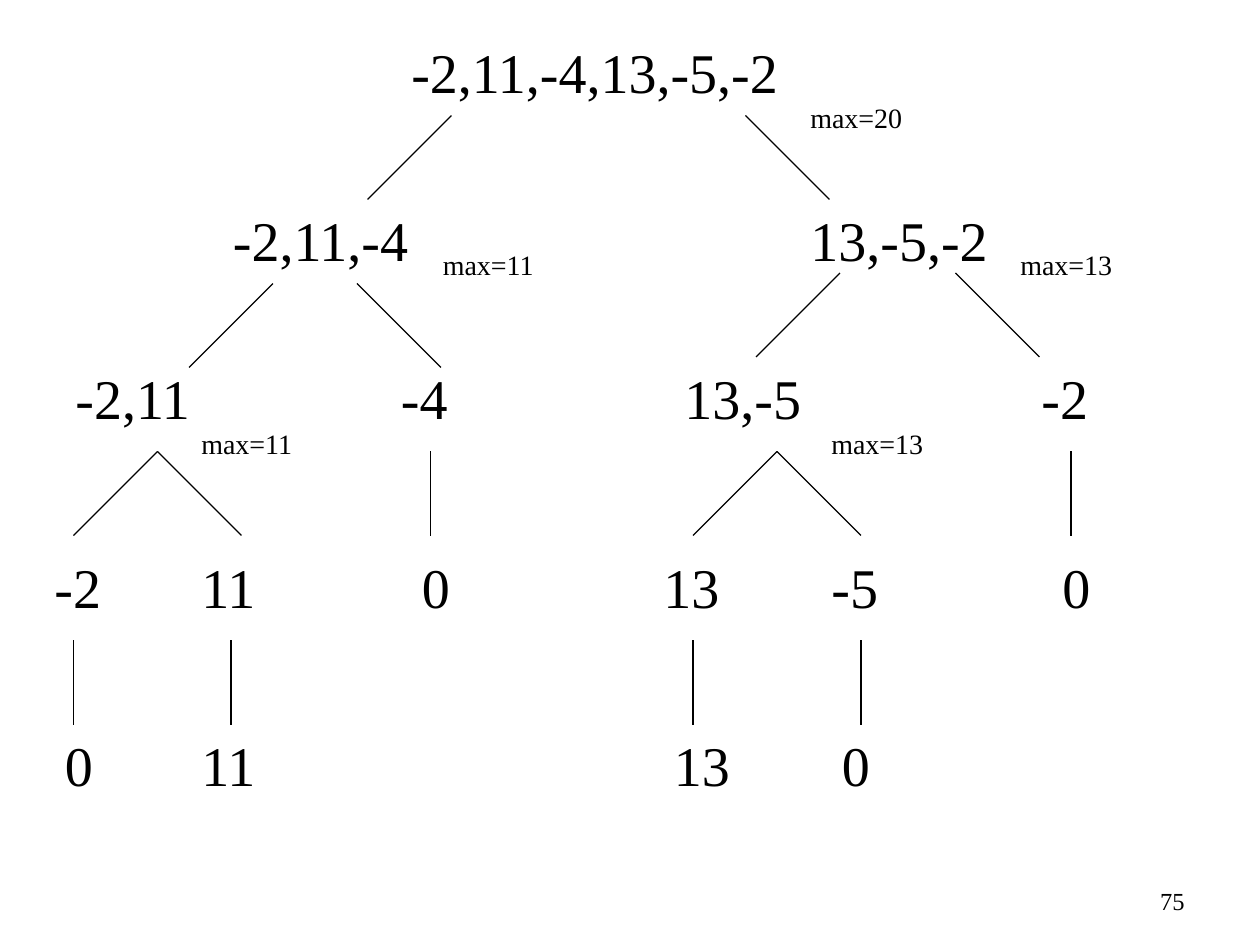
"""Draw the recursion tree of a divide-and-conquer maximum subsequence sum."""
from math import ceil

from pptx import Presentation
from pptx.dml.color import RGBColor
from pptx.enum.shapes import MSO_CONNECTOR
from pptx.enum.text import MSO_ANCHOR, MSO_AUTO_SIZE, PP_ALIGN
from pptx.oxml.ns import qn
from pptx.util import Pt
from lxml import etree

STRAIGHT = MSO_CONNECTOR.STRAIGHT
TOP, MIDDLE = MSO_ANCHOR.TOP, MSO_ANCHOR.MIDDLE
LEFT, RIGHT = PP_ALIGN.LEFT, PP_ALIGN.RIGHT
GROW, FIXED = MSO_AUTO_SIZE.SHAPE_TO_FIT_TEXT, MSO_AUTO_SIZE.NONE

PX = 7620
FONT = "Times New Roman"
INK = "000000"
BRANCH = 80
PADDING = 24
GLYPH_EM = {",": 0.25, "-": 0.33}
NODE_PT, MAXIMUM_PT, NUMBER_PT = 32, 16, 14

LEVELS = [
    (30, [(380, "-2,11,-4,13,-5,-2")]),
    (190, [(210, "-2,11,-4"), (760, "13,-5,-2")]),
    (340, [(60, "-2,11"), (370, "-4"), (640, "13,-5"), (980, "-2")]),
    (520, [(40, "-2"), (180, "11"), (390, "0"),
           (620, "13"), (780, "-5"), (1000, "0")]),
    (690, [(50, "0"), (180, "11"), (630, "13"), (790, "0")]),
]
MAXIMA = [
    (760, 90, "max=20"),
    (410, 230, "max=11"), (960, 230, "max=13"),
    (180, 400, "max=11"), (780, 400, "max=13"),
]
BRANCHES = [
    (110, [(430, -1), (710, 1)]),
    (270, [(260, -1), (340, 1)]),
    (260, [(800, -1), (910, 1)]),
    (430, [(150, -1), (150, 1), (410, 0), (740, -1), (740, 1), (1020, 0)]),
    (610, [(70, 0), (220, 0), (660, 0), (820, 0)]),
]


def color(value):
    return RGBColor.from_string(value)


def px(*lengths):
    return [length * PX for length in lengths]


def node_width(numbers):
    em = NODE_PT * 120 / 72
    return ceil(PADDING + em * sum(GLYPH_EM.get(glyph, 0.5) for glyph in numbers))


def add_text(slide, box, words, size, align=LEFT, anchor=TOP, wrap=False, fit=GROW):
    frame = slide.shapes.add_textbox(*px(*box)).text_frame
    frame.word_wrap = wrap
    frame.auto_size = fit
    frame.vertical_anchor = anchor
    paragraph = frame.paragraphs[0]
    paragraph.alignment = align
    run = paragraph.add_run()
    run.text = words
    run.font.name = FONT
    run.font.size = Pt(size)
    run.font.color.rgb = color(INK)


def add_branch(slide, x, y, lean):
    ends = px(x, y, x + lean * BRANCH, y + BRANCH)
    branch = slide.shapes.add_connector(STRAIGHT, *ends)
    branch.line.color.rgb = color(INK)
    branch.line.width = Pt(0.75)
    etree.SubElement(branch._element.spPr, qn("a:effectLst"))


def main():
    deck = Presentation()
    deck.slide_width, deck.slide_height = px(1200, 900)
    slide = deck.slides.add_slide(deck.slide_layouts[6])

    add_text(slide, (860, 834, 280, 48), "75", NUMBER_PT, RIGHT, MIDDLE, True, FIXED)
    for y, nodes in LEVELS:
        for x, numbers in nodes:
            add_text(slide, (x, y, node_width(numbers), 76), numbers, NODE_PT)
    for y, starts in BRANCHES:
        for x, lean in starts:
            add_branch(slide, x, y, lean)
    for x, y, maximum in MAXIMA:
        add_text(slide, (x, y, 112, 44), maximum, MAXIMUM_PT)

    deck.save("out.pptx")


if __name__ == "__main__":
    main()
